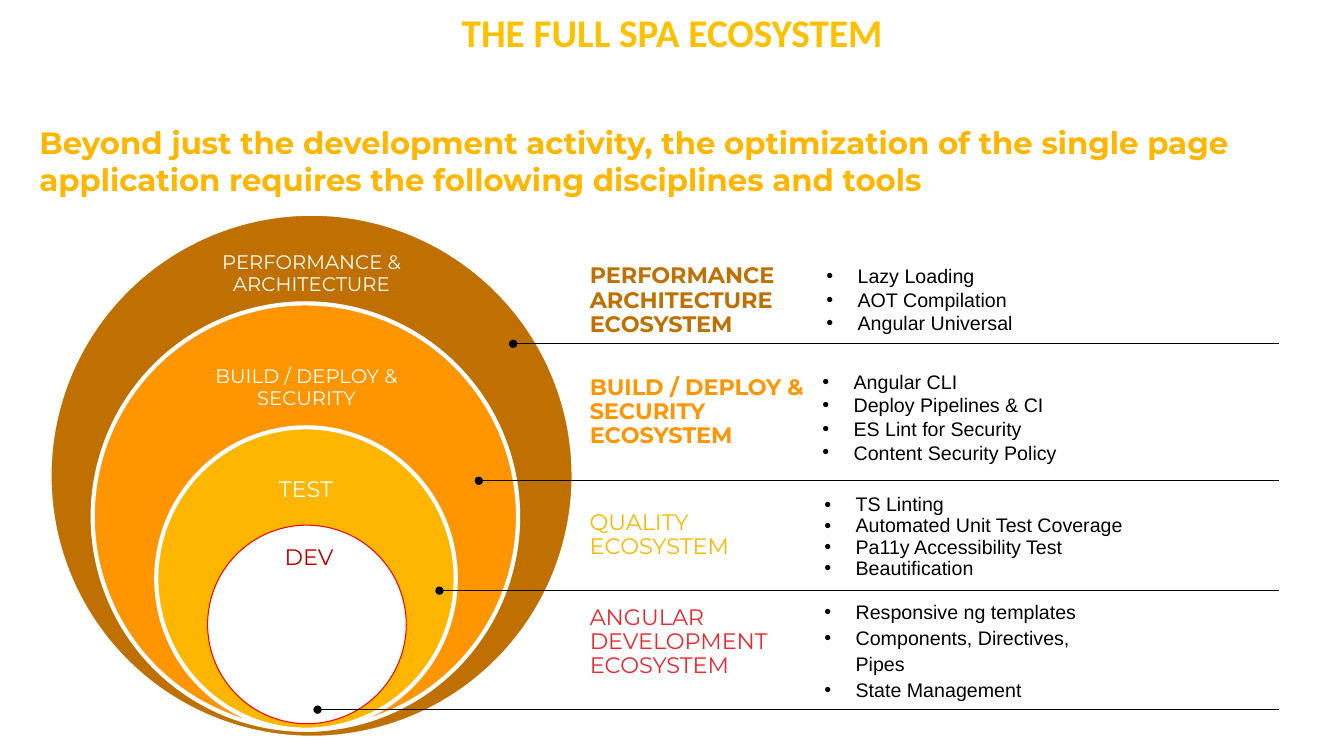
from collections import namedtuple

from lxml.etree import SubElement
from pptx import Presentation
from pptx.dml.color import RGBColor
from pptx.enum.shapes import MSO_CONNECTOR as CONNECTOR, MSO_SHAPE as SHAPE
from pptx.enum.text import MSO_ANCHOR as ANCHOR, MSO_AUTO_SIZE as AUTO, PP_ALIGN as ALIGN
from pptx.oxml.ns import qn
from pptx.util import Inches, Pt

SLIDE_W, SLIDE_H = Inches(13.33), Inches(7.5)

BROWN = RGBColor(0xBF, 0x70, 0x00)
ORANGE = RGBColor(0xFF, 0x95, 0x00)
AMBER = RGBColor(0xFF, 0xB6, 0x00)
GOLD = RGBColor(0xFF, 0xC0, 0x00)
RED = RGBColor(0xFF, 0x00, 0x00)
DARK_RED = RGBColor(0xC0, 0x00, 0x00)
CORAL = RGBColor(0xEF, 0x26, 0x2E)
WHITE = RGBColor(0xFF, 0xFF, 0xFF)
BLACK = RGBColor(0x00, 0x00, 0x00)

# Places are percentages of the slide's width and height
LABEL_X, RULE_END = 43.88, 95.18
HANGING = Inches(0.31)

Circle = namedtuple("Circle", "box fill line weight name name_box name_size name_color")
Discipline = namedtuple("Discipline", "title box color bold anchor rule tools tools_box spacing")

CIRCLES = [
    Circle((3.68, 28.27, 39, 69.33), BROWN, WHITE, 3,
           "PERFORMANCE & ARCHITECTURE", (15.38, 33.47, 15.6, 5.6), 14, WHITE),
    Circle((6.9, 40.13, 31.65, 56.4), ORANGE, WHITE, 3,
           "BUILD / DEPLOY & SECURITY", (14.63, 48.53, 16.35, 5.6), 14, WHITE),
    Circle((11.63, 56.53, 22.28, 40), AMBER, WHITE, 3,
           "TEST", (16.05, 63.2, 13.43, 3.2), 16, WHITE),
    Circle((15.45, 69.47, 14.78, 26.27), WHITE, RED, 0.75,
           "DEV", (16.28, 72.27, 13.43, 3.2), 16, DARK_RED),
]

# Each rule is its start across and its height on the slide
DISCIPLINES = [
    Discipline("PERFORMANCE ARCHITECTURE ECOSYSTEM", (LABEL_X, 34.4, 16.88, 12.4),
               BROWN, True, ANCHOR.MIDDLE, (38.18, 45.47),
               ["Lazy Loading", "AOT Compilation", "Angular Universal"],
               (60.75, 34.27, 19.28, 10.8), 1.0),
    Discipline("BUILD / DEPLOY & SECURITY ECOSYSTEM", (LABEL_X, 50.13, 16.5, 10.4),
               ORANGE, True, ANCHOR.MIDDLE, (35.63, 63.6),
               ["Angular CLI", "Deploy Pipelines & CI", "ES Lint for Security",
                "Content Security Policy"],
               (60.45, 48.27, 23.4, 13.87), 1.0),
    Discipline("QUALITY ECOSYSTEM", (LABEL_X, 67.6, 14.1, 9.47),
               AMBER, False, ANCHOR.TOP, (32.7, 78.13),
               ["TS Linting", "Automated Unit Test Coverage", "Pa11y Accessibility Test",
                "Beautification"],
               (60.6, 64.8, 24.3, 12.67), 0.9),
    Discipline("ANGULAR DEVELOPMENT ECOSYSTEM", (LABEL_X, 80.13, 15.45, 10.93),
               CORAL, False, ANCHOR.TOP, (23.63, 93.87),
               ["Responsive ng templates", "Components, Directives, Pipes",
                "State Management"],
               (60.6, 78.4, 22.13, 15.2), 1.1),
]


def across(share):
    return round(SLIDE_W * share / 100)


def down(share):
    return round(SLIDE_H * share / 100)


def place(box):
    left, top, width, height = box
    return across(left), down(top), across(width), down(height)


def add_bullet(paragraph):
    props = paragraph._p.get_or_add_pPr()
    props.set("marL", str(HANGING))
    props.set("indent", str(-HANGING))
    SubElement(props, qn("a:buFont")).set("typeface", "Arial")
    SubElement(props, qn("a:buChar")).set("char", "•")


def add_text(slide, box, lines, size, color, font="Montserrat", bold=False,
             align=ALIGN.LEFT, anchor=ANCHOR.TOP, spacing=0.9,
             insets=(0, 0, 0, 0), bullets=False):
    frame = slide.shapes.add_textbox(*place(box)).text_frame
    frame.word_wrap = True
    frame.auto_size = AUTO.NONE
    frame.vertical_anchor = anchor
    (frame.margin_left, frame.margin_top,
     frame.margin_right, frame.margin_bottom) = map(Inches, insets)
    frame.text = "\n".join(lines)
    for paragraph in frame.paragraphs:
        paragraph.alignment = align
        paragraph.line_spacing = spacing
        if bullets:
            add_bullet(paragraph)
        for run in paragraph.runs:
            run.font.name = font
            run.font.size = Pt(size)
            run.font.bold = bold
            run.font.color.rgb = color


def add_circle(slide, circle):
    disc = slide.shapes.add_shape(SHAPE.OVAL, *place(circle.box))
    disc.shadow.inherit = False
    disc.fill.solid()
    disc.fill.fore_color.rgb = circle.fill
    disc.line.color.rgb = circle.line
    disc.line.width = Pt(circle.weight)


def add_rule(slide, start, height):
    rule = slide.shapes.add_connector(CONNECTOR.STRAIGHT, across(start), down(height),
                                      across(RULE_END), down(height))
    rule.line.color.rgb = BLACK
    rule.line.width = Pt(1)
    SubElement(rule.line._get_or_add_ln(), qn("a:headEnd")).set("type", "oval")
    SubElement(rule._element.spPr, qn("a:effectLst"))


def add_discipline(slide, discipline):
    add_text(slide, discipline.box, [discipline.title], 16, discipline.color,
             bold=discipline.bold, anchor=discipline.anchor, insets=(0, 0, 0, 0.12))
    add_rule(slide, *discipline.rule)
    add_text(slide, discipline.tools_box, discipline.tools, 14, BLACK, font="Arial",
             spacing=discipline.spacing, insets=(0.1, 0.05, 0.1, 0.05), bullets=True)


def main():
    deck = Presentation()
    deck.slide_width, deck.slide_height = SLIDE_W, SLIDE_H
    slide = deck.slides.add_slide(deck.slide_layouts[6])

    # Title and headline
    add_text(slide, (0, 2.13, 100, 7.47), ["THE FULL SPA ECOSYSTEM"], 28, GOLD,
             font="Calibri", bold=True, align=ALIGN.CENTER, spacing=0.7,
             insets=(0, 0.05, 0, 0))
    add_text(slide, (2.93, 16.4, 94.13, 6),
             ["Beyond just the development activity, the optimization of the single page "
              "application requires the following disciplines and tools"],
             22, AMBER, bold=True, spacing=1.0)

    # Nested circles, outermost first
    for circle in CIRCLES:
        add_circle(slide, circle)
        add_text(slide, circle.name_box, [circle.name], circle.name_size,
                 circle.name_color, align=ALIGN.CENTER, anchor=ANCHOR.MIDDLE)

    # Disciplines with their tools
    for discipline in DISCIPLINES:
        add_discipline(slide, discipline)

    deck.save("out.pptx")


if __name__ == "__main__":
    main()
